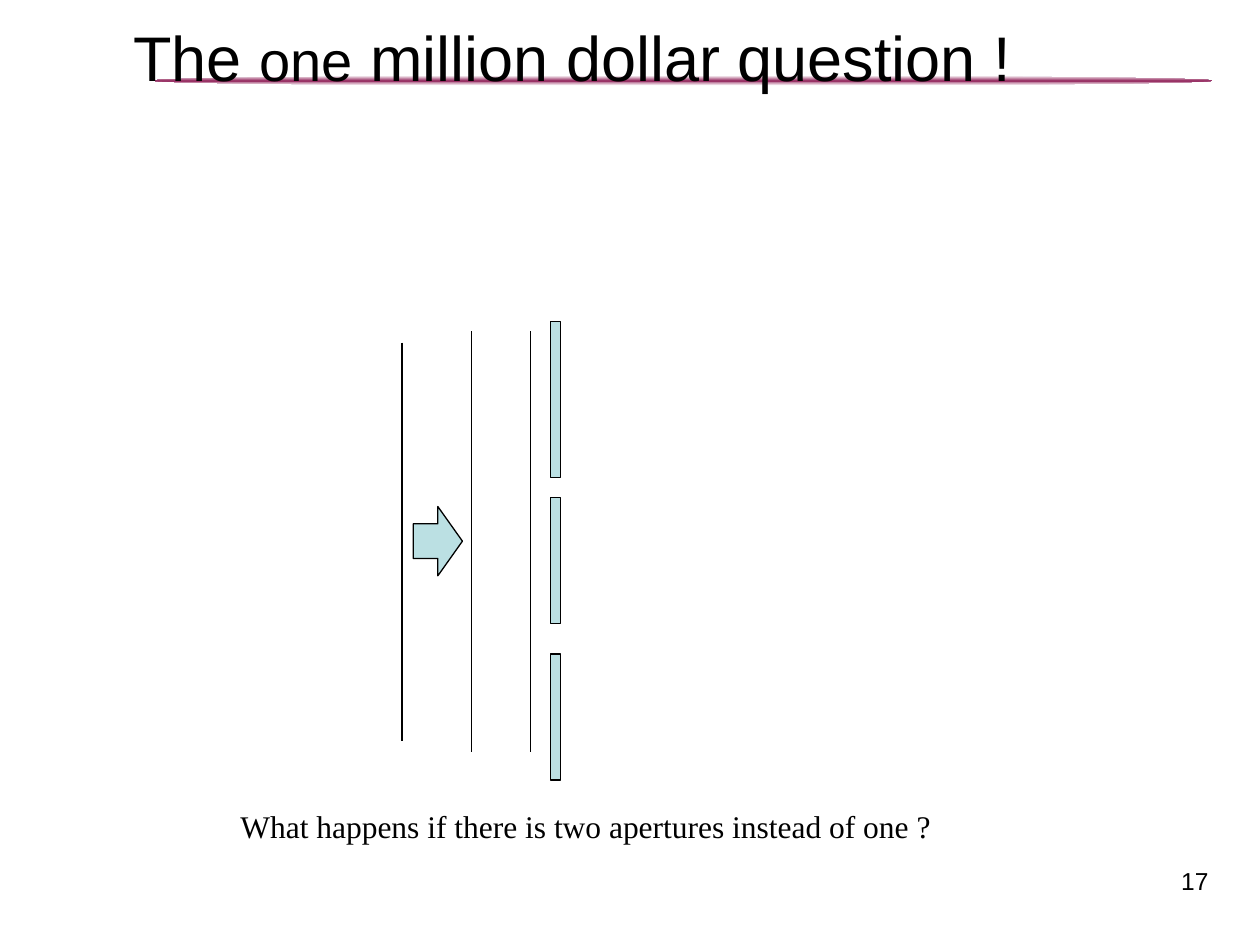
from copy import deepcopy

from lxml import etree
from pptx import Presentation
from pptx.dml.color import RGBColor
from pptx.enum.shapes import MSO_CONNECTOR, MSO_SHAPE
from pptx.enum.text import PP_ALIGN
from pptx.oxml.ns import qn
from pptx.util import Inches, Pt

LEFT, CENTER, RIGHT = PP_ALIGN.LEFT, PP_ALIGN.CENTER, PP_ALIGN.RIGHT
OVAL, RECT, ARROW = MSO_SHAPE.OVAL, MSO_SHAPE.RECTANGLE, MSO_SHAPE.RIGHT_ARROW
STRAIGHT = MSO_CONNECTOR.STRAIGHT
HEX = {"ink": "000000", "screen": "BBE0E3", "edge": "FFFFFF", "rule": "993366"}
COLOR = {name: RGBColor.from_string(code) for name, code in HEX.items()}

prs = Presentation()
prs.slide_width, prs.slide_height = Inches(10), Inches(7.5)
slide = prs.slides.add_slide(prs.slide_layouts[6])
shapes = slide.shapes


def add_text(box, runs, font, align, top=0.05):
    """Add a one-paragraph text box; runs are (text, size) pairs."""
    frame = shapes.add_textbox(*map(Inches, box)).text_frame
    frame.word_wrap = True
    frame.margin_top = Inches(top)
    para = frame.paragraphs[0]
    para.alignment = align
    for text, size in runs:
        run = para.add_run()
        run.text = text
        run.font.name = font
        run.font.size = Pt(size)
        run.font.color.rgb = COLOR["ink"]


def add_solid(kind, box):
    shape = shapes.add_shape(kind, *map(Inches, box))
    shape.shadow.inherit = False
    shape.fill.solid()
    shape.fill.fore_color.rgb = COLOR["screen"]
    shape.line.color.rgb = COLOR["ink"]
    shape.line.width = Pt(0.75)


# Rule under the title, fading to white above and below
rule = shapes.add_shape(OVAL, Inches(1.22), Inches(0.6), Inches(8.4), Inches(0.08))
rule.shadow.inherit = False
rule.line.fill.background()
rule.fill.gradient()
rule.fill.gradient_angle = 90
first = rule._element.spPr.find(".//" + qn("a:gs"))
first.addnext(deepcopy(first))
stops = rule.fill.gradient_stops
for stop, name, place in zip(stops, ("edge", "rule", "edge"), (0, 0.5, 1)):
    stop.color.rgb = COLOR[name]
    stop.position = place

# Title, question and page number
title = [("The ", 36), ("one", 32), (" million dollar question ! ", 36)]
add_text((0.11, 0.05, 9, 1.25), title, "Arial", CENTER, top=0.1)
ask = "What happens if there is two apertures instead of one ?"
add_text((1.81, 6.36, 6.1, 0.4), [(ask, 18)], "Times New Roman", LEFT)
add_text((7.36, 6.82, 2.33, 0.45), [("17", 14)], "Arial", RIGHT)

# Screen with two apertures
for top, height in ((2.55, 1.24), (3.95, 1), (5.19, 1)):
    add_solid(RECT, (4.37, top, 0.08, height))

# Plane wave fronts, centred on one axis
axis = 4.3
for x, half in ((3.19, 1.58), (3.74, 1.67), (4.21, 1.67)):
    front = shapes.add_connector(
        STRAIGHT, Inches(x), Inches(axis - half), Inches(x), Inches(axis + half)
    )
    front.line.color.rgb = COLOR["ink"]
    front.line.width = Pt(0.75)
    etree.SubElement(front._element.spPr, qn("a:effectLst"))

# Direction of travel
add_solid(ARROW, (3.28, 4.02, 0.39, 0.55))

prs.save("out.pptx")
